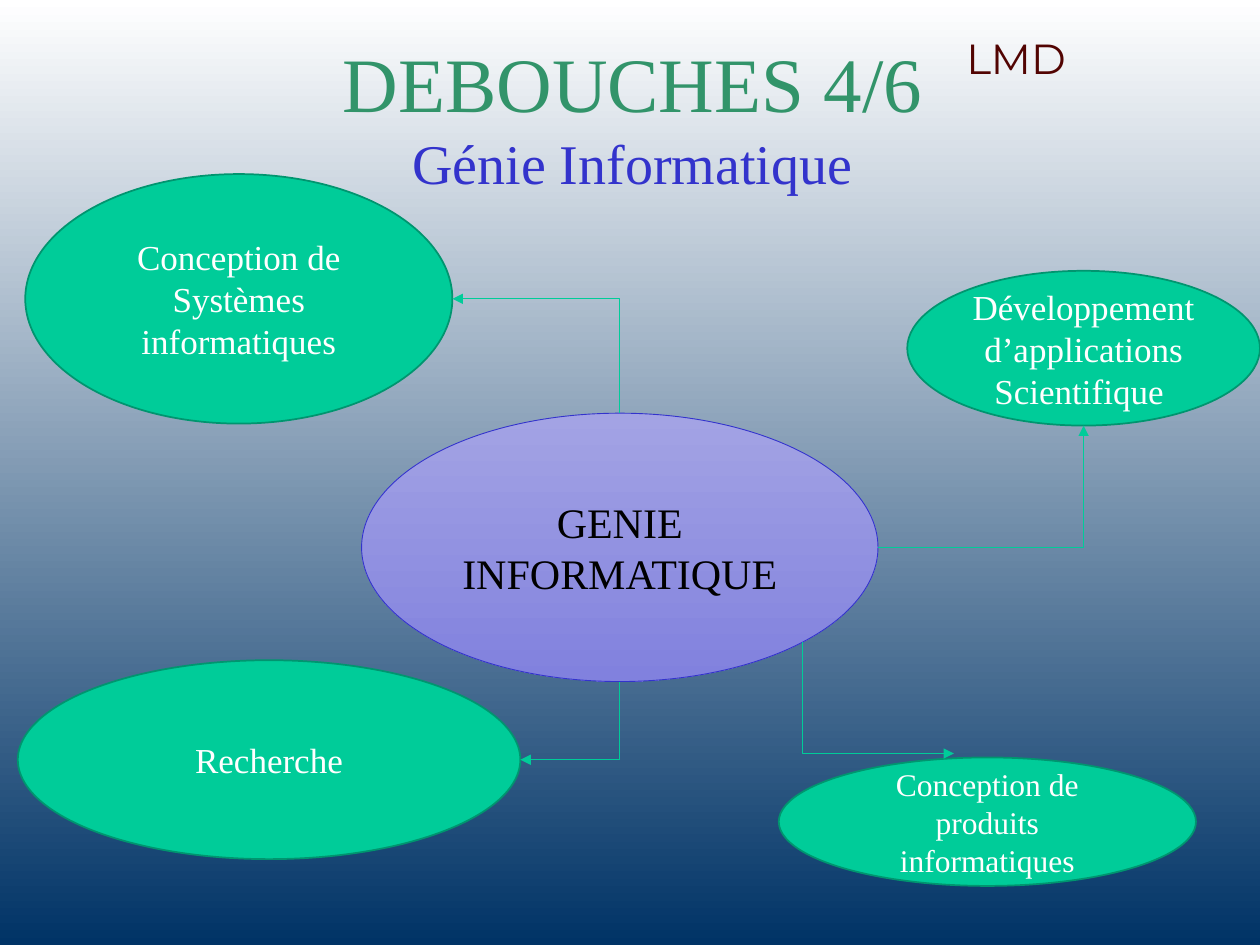
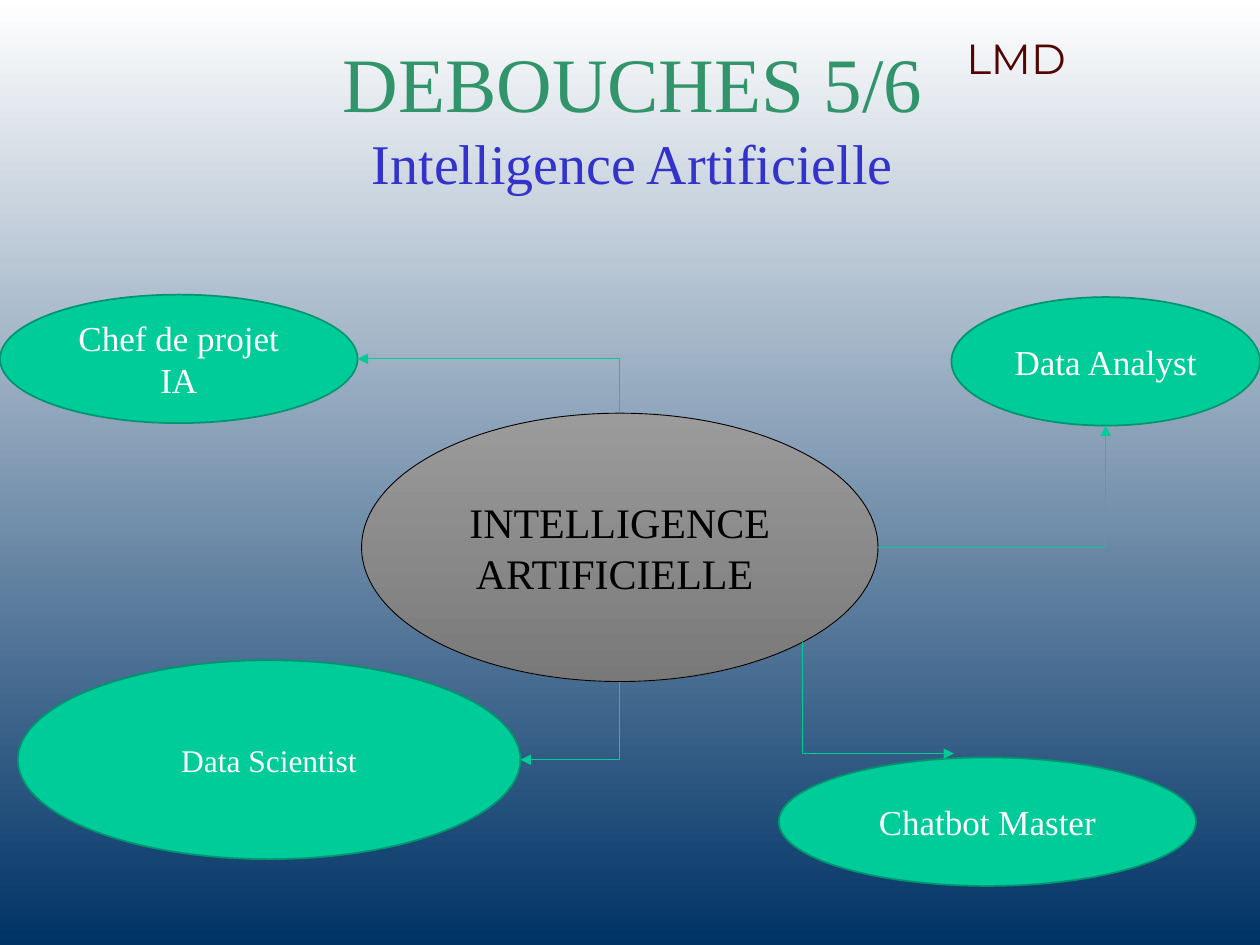
from math import cos, radians, sin

from lxml.etree import SubElement
from pptx import Presentation
from pptx.dml.color import RGBColor
from pptx.enum.dml import MSO_THEME_COLOR
from pptx.enum.shapes import MSO_CONNECTOR as Link, MSO_SHAPE as Preset
from pptx.enum.text import MSO_ANCHOR as Anchor, MSO_AUTO_SIZE as AutoSize, PP_ALIGN as Align
from pptx.oxml.ns import qn
from pptx.util import Cm, Pt

WHITE = RGBColor(0xFF, 0xFF, 0xFF)
BLACK = RGBColor(0, 0, 0)
NAVY = RGBColor(0x00, 0x33, 0x66)
GREEN = RGBColor(0x00, 0xCC, 0x99)
DARK_GREEN = RGBColor(0x00, 0x95, 0x6F)
TITLE_GREEN = RGBColor(0x32, 0x94, 0x6A)
BLUE = RGBColor(0x33, 0x33, 0xCC)
MAROON = RGBColor(0x52, 0x04, 0x02)
LILAC = RGBColor(0xA3, 0xA3, 0xE4), RGBColor(0x81, 0x81, 0xDE)
GREY = RGBColor(0x9B, 0x9B, 0x9B), RGBColor(0x79, 0x79, 0x79)

SERIF = "Times New Roman"
TITLE_BOX = 1.96, 0.74, 21.59, 3.18
LABEL_BOX = 19.23, 0.53, 6.17, 0.97
HUB_BOX = 7.29, 8.33, 10.41, 5.41
LOWER_LEFT_BOX = 0.36, 13.31, 10.13, 4.01
LOWER_RIGHT_BOX = 15.7, 15.27, 8.41, 2.59
LOWER_RIGHT_TIP = Cm(19.23), Cm(15.19)
TOP, BOTTOM, LOWER_RIGHT, RIGHT = 0, 4, 5, 6

SLIDES = [
    dict(number="4/6", topic="Génie Informatique", hub="GENIE INFORMATIQUE",
         hub_fill=LILAC, hub_line=BLUE,
         upper_left=("Conception de Systèmes informatiques", 20, (0.51, 3.51, 8.61, 5.03)),
         lower_left=("Recherche", 20, LOWER_LEFT_BOX),
         lower_right=("Conception de produits informatiques", 18, LOWER_RIGHT_BOX),
         upper_right=("Développement d’applications Scientifique ", 20,
                      (18.29, 5.46, 7.11, 3.12))),
    dict(number="5/6", topic="Intelligence Artificielle", hub="INTELLIGENCE ARTIFICIELLE ",
         hub_fill=GREY, hub_line=BLACK,
         upper_left=("Chef de projet IA", 20, (0, 5.94, 7.21, 2.59)),
         lower_left=("Data Scientist", 18, LOWER_LEFT_BOX),
         lower_right=("Chatbot Master", 20, LOWER_RIGHT_BOX),
         upper_right=("Data Analyst", 20, (19.18, 5.99, 6.22, 2.59))),
]


def in_cm(box):
    """Turn a box of numbers into lengths."""
    return [Cm(side) for side in box]


def write(para, text, size=20, color=WHITE, font=SERIF, align=Align.CENTER):
    """Add a formatted span to a paragraph."""
    para.alignment = align
    span = para.add_run()
    span.text = text
    span.font.size = Pt(size)
    span.font.name = font
    span.font.color.rgb = color


def shade(fill, colors):
    """Fill from top to bottom with two colours."""
    fill.gradient()
    fill.gradient_angle = 270
    for stop, color in zip(fill.gradient_stops, colors):
        stop.color.rgb = color


def add_oval(page, box, text, size, color=WHITE, line=DARK_GREEN, width=1, colors=None):
    """Draw an ellipse with centred text."""
    oval = page.shapes.add_shape(Preset.OVAL, *in_cm(box))
    oval.shadow.inherit = False
    if colors:
        shade(oval.fill, colors)
    else:
        oval.fill.solid()
        oval.fill.fore_color.rgb = GREEN
    oval.line.color.rgb = line
    oval.line.width = Pt(width)
    frame = oval.text_frame
    frame.word_wrap = True
    frame.vertical_anchor = Anchor.MIDDLE
    write(frame.paragraphs[0], text, size, color)
    return oval


def site_point(oval, site):
    """Locate a connection site, counted anticlockwise from the top."""
    angle = radians(45 * site)
    x = oval.left + oval.width / 2 * (1 - sin(angle))
    y = oval.top + oval.height / 2 * (1 - cos(angle))
    return round(x), round(y)


def add_elbow(page, hub, site, target=None, target_site=None, tip=None):
    """Draw a one-bend arrow from the hub to an oval or a free tip."""
    x1, y1 = site_point(hub, site)
    x2, y2 = tip or site_point(target, target_site)
    turn = 0
    if site != RIGHT:
        turn = 90 if y2 > y1 else 270
        mid_x, mid_y = (x1 + x2) / 2, (y1 + y2) / 2
        half_w, half_h = abs(y2 - y1) / 2, abs(x2 - x1) / 2
        if (y2 > y1) == (x2 > x1):
            half_h = -half_h
        x1, x2 = round(mid_x - half_w), round(mid_x + half_w)
        y1, y2 = round(mid_y - half_h), round(mid_y + half_h)
    elbow = page.shapes.add_connector(Link.ELBOW, x1, y1, x2, y2)
    elbow.line.color.rgb = GREEN
    elbow.line.width = Pt(0.5)
    props = elbow.element.spPr
    props.find(qn("a:prstGeom")).set("prst", "bentConnector2")
    if turn:
        props.find(qn("a:xfrm")).set("rot", str(turn * 60000))
    SubElement(props.find(qn("a:ln")), qn("a:tailEnd"), type="triangle")
    SubElement(props, qn("a:effectLst"))
    joints = elbow.element.find(".//" + qn("p:cNvCxnSpPr"))
    SubElement(joints, qn("a:stCxn"), id=str(hub.shape_id), idx=str(site))
    if target is not None:
        SubElement(joints, qn("a:endCxn"), id=str(target.shape_id), idx=str(target_site))


def add_heading(page, box, number, topic):
    """Fill the title placeholder with its two lines."""
    title = page.shapes.title
    title.left, title.top, title.width, title.height = in_cm(box)
    frame = title.text_frame
    frame.auto_size = AutoSize.NONE
    frame.vertical_anchor = Anchor.MIDDLE
    para = frame.paragraphs[0]
    write(para, f"DEBOUCHES {number}", 44, TITLE_GREEN)
    para.add_line_break()
    write(para, topic, 32, BLUE)


def add_label(page, box):
    """Place the corner label."""
    label = page.shapes.add_textbox(*in_cm(box))
    label.text_frame.word_wrap = False
    write(label.text_frame.paragraphs[0], "LMD", 24, MAROON, "Montserrat", Align.LEFT)


def add_careers(page, content):
    """Draw the hub, its four ovals and the arrows."""
    hub = add_oval(page, HUB_BOX, content["hub"], 24, BLACK,
                   content["hub_line"], 0.5, content["hub_fill"])
    ovals = {}
    for place in ("upper_left", "lower_left", "lower_right", "upper_right"):
        text, size, box = content[place]
        ovals[place] = add_oval(page, box, text, size)
    add_elbow(page, hub, LOWER_RIGHT, tip=LOWER_RIGHT_TIP)
    add_elbow(page, hub, TOP, ovals["upper_left"], RIGHT)
    add_elbow(page, hub, BOTTOM, ovals["lower_left"], RIGHT)
    add_elbow(page, hub, RIGHT, ovals["upper_right"], BOTTOM)


def main():
    """Build and save the deck."""
    deck = Presentation()
    deck.slide_width, deck.slide_height = Cm(25.4), Cm(19.05)
    shade(deck.slide_master.background.fill, (WHITE, NAVY))
    for content in SLIDES:
        page = deck.slides.add_slide(deck.slide_layouts[5])
        add_careers(page, content)
        add_label(page, LABEL_BOX)
        add_heading(page, TITLE_BOX, content["number"], content["topic"])
    deck.save("out.pptx")


if __name__ == "__main__":
    main()
